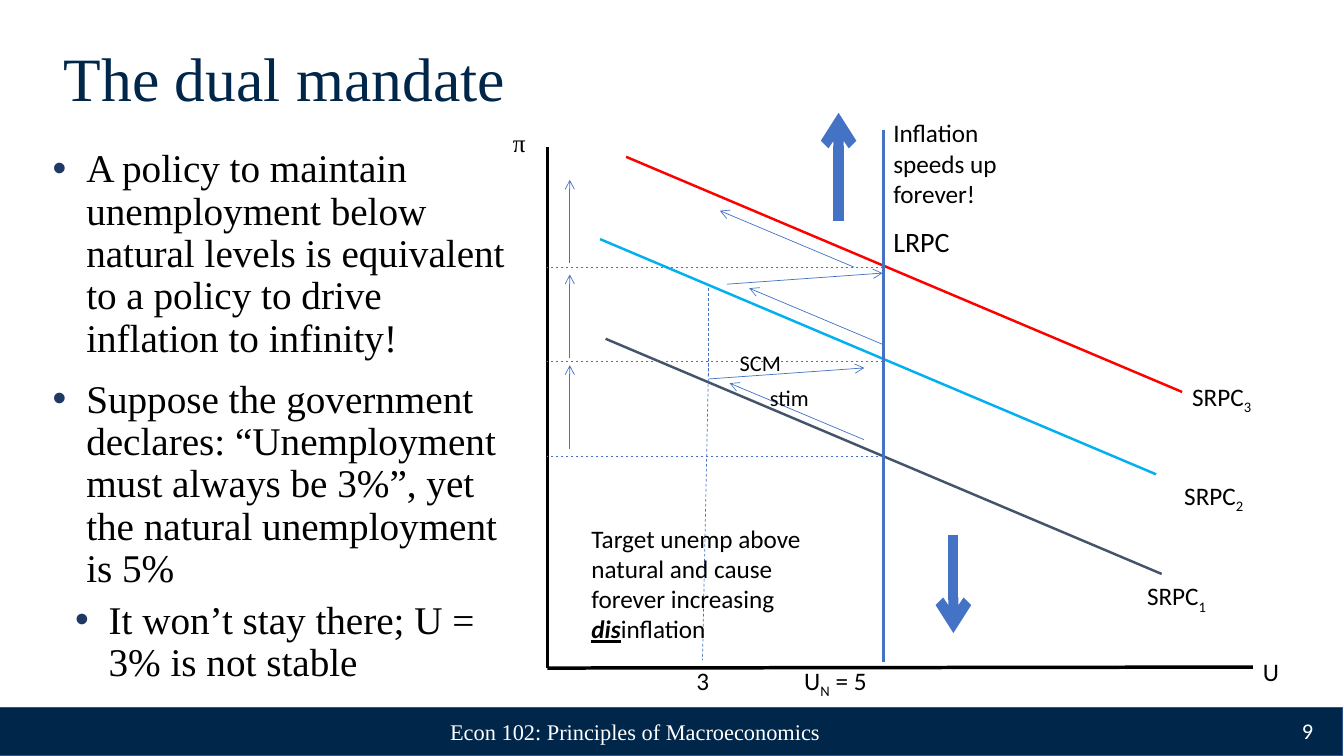
from lxml.etree import SubElement
from pptx import Presentation
from pptx.dml.color import RGBColor
from pptx.enum.dml import MSO_LINE
from pptx.enum.shapes import MSO_CONNECTOR, MSO_SHAPE
from pptx.enum.text import MSO_ANCHOR as Anchor, MSO_AUTO_SIZE as AutoSize, PP_ALIGN as Align
from pptx.oxml.ns import qn
from pptx.util import Pt


class Theme:
    navy = RGBColor.from_string("00264A")
    bar_edge = RGBColor.from_string("325491")
    bullet = "203864"
    black = RGBColor.from_string("000000")
    white = RGBColor.from_string("FFFFFF")
    blue = RGBColor.from_string("4472C4")
    slate = RGBColor.from_string("44546A")
    cyan = RGBColor.from_string("00B0F0")
    red = RGBColor.from_string("FF0000")
    serif, sans = "Times New Roman", "Calibri"
    title, body, large, label, small = 44, 28, 20, 18, 16
    axis, curve, thin, block = 2.5, 1.75, 0.5, 7.25


deck = Presentation()
deck.slide_width, deck.slide_height = Pt(960), Pt(540)
page = deck.slides.add_slide(deck.slide_layouts[6])


def write(text, left, top, width, height, size=Theme.label, font=Theme.sans,
          color=Theme.black, align=Align.LEFT, anchor=Anchor.TOP, wrap=False,
          inset=(7.2, 3.6), accent="subscript"):
    """Add a text box; newlines part paragraphs, and |bars| enclose accented text."""
    box = page.shapes.add_textbox(Pt(left), Pt(top), Pt(width), Pt(height))
    frame = box.text_frame
    frame.word_wrap, frame.vertical_anchor = wrap, anchor
    frame.auto_size = AutoSize.NONE if wrap else AutoSize.SHAPE_TO_FIT_TEXT
    frame.margin_left = frame.margin_right = Pt(inset[0])
    frame.margin_top = frame.margin_bottom = Pt(inset[1])
    for row, line in enumerate(text.split("\n")):
        para = frame.add_paragraph() if row else frame.paragraphs[0]
        para.alignment = align
        for part, piece in enumerate(line.split("|")):
            if not piece:
                continue
            span = para.add_run()
            span.text = piece
            span.font.size, span.font.name = Pt(size), font
            span.font.color.rgb = color
            if part % 2 and accent == "subscript":
                span._r.get_or_add_rPr().set("baseline", "-25000")
            elif part % 2:
                span.font.bold = span.font.italic = span.font.underline = True
    return frame


def draw_line(start, end, color=Theme.blue, weight=Theme.thin, arrow=False, dashed=False):
    line = page.shapes.add_connector(MSO_CONNECTOR.STRAIGHT, *map(Pt, (*start, *end)))
    line.line.color.rgb, line.line.width = color, Pt(weight)
    if dashed:
        line.line.dash_style = MSO_LINE.DASH
    if arrow:
        SubElement(line.line._get_or_add_ln(), qn("a:tailEnd"), type="arrow")
    SubElement(line._element.spPr, qn("a:effectLst"))


# Footer bar, title and bullets
bar = page.shapes.add_shape(MSO_SHAPE.RECTANGLE, Pt(-1.2), Pt(505.4), Pt(960), Pt(34.6))
bar.shadow.inherit = False
bar.fill.solid()
bar.fill.fore_color.rgb = Theme.navy
bar.line.color.rgb, bar.line.width = Theme.bar_edge, Pt(1)

roomy = dict(wrap=True, inset=(9.6, 4.8))
title = write("The dual mandate", 36, 28.8, 888, 58.4, size=Theme.title, font=Theme.serif,
              color=Theme.navy, anchor=Anchor.MIDDLE, **roomy)
title.paragraphs[0].line_spacing = 0.9

bullets = write(
    "A policy to maintain unemployment below natural levels is equivalent "
    "to a policy to drive inflation to infinity!\n"
    "Suppose the government declares: “Unemployment must always be 3%”, "
    "yet the natural unemployment is 5%\n"
    "It won’t stay there; U = 3% is not stable",
    28, 101.5, 344.2, 419.8, size=Theme.body, font=Theme.serif, **roomy)
for para, level, margin, before in zip(bullets.paragraphs, (0, 0, 1), (24, 24, 40), (13.3, 13.3, 6.7)):
    para.level, para.line_spacing, para.space_before = level, 0.9, Pt(before)
    props = para._p.get_or_add_pPr()
    props.set("marL", str(Pt(margin)))
    props.set("indent", str(Pt(-24)))
    SubElement(SubElement(props, qn("a:buClr")), qn("a:srgbClr"), val=Theme.bullet)
    SubElement(props, qn("a:buFont"), typeface="Arial")
    SubElement(props, qn("a:buChar"), char="•")

# Axes
origin = (391, 477.2)
draw_line((391, 105), origin, Theme.black, Theme.axis)
draw_line(origin, (895, 476.5), Theme.black, Theme.axis)
write("U", 895, 465, 64, 29, wrap=True)
write("π", 359.3, 87.1, 97, 29, font=Theme.serif, wrap=True)

# Short-run Phillips curves share one slope
short_run = [
    ("1", (432.6, 242), (812.2, 411.2), Theme.slate),
    ("2", (428.6, 170.8), (838.8, 339.2), Theme.cyan),
    ("3", (447.2, 112), (844.5, 268.5), Theme.red),
]
for number, (x, y), (label_x, label_y), color in short_run:
    draw_line((x, y), (x + 397.2, y + 168), color, Theme.curve)
    write(f"SRPC|{number}|", label_x, label_y, 58.3, 29)

# Long-run curve and unemployment levels
natural = 631
draw_line((natural, 473), (natural, 93), weight=Theme.curve)
write("LRPC", natural, 157, 55.4, 31.5, size=Theme.large)
write("U|N| = 5", 567.4, 471.6, 60.5, 29)
write("3", 490.3, 471.6, 23.8, 29)
draw_line((506.2, 256.3), (501.8, 471.6), dashed=True)
draw_line((506.2, 206), (506.2, 268.6), dashed=True)

# Each round: inflation level, stimulus along the curve, rise on the axis
rounds = [(326.2, (617, 314), 320.4), (257.8, (natural, 246.2), 255.6), (190.8, (610, 190.8), 188)]
for level, (x, y), foot in rounds:
    draw_line((natural, level), (origin[0], level), dashed=True)
    draw_line((x, y), (x - 95.8, y - 40.3), arrow=True)
    draw_line((407, foot), (407, foot - 59.5), arrow=True)
for x, y in [(506.2, 270.7), (519.2, 203)]:
    draw_line((x, y), (x + 111.2, y - 7.9), arrow=True)
write("stim", 542.9, 270.7, 42.5, 26.6, size=Theme.small)
write("SCM", 521.3, 246.2, 44.6, 26.6, size=Theme.small)

# Outcomes on either side
for x, tail, head in [(599, 157.7, 80.6), (681, 382.3, 452.2)]:
    draw_line((x, tail), (x, head), weight=Theme.block, arrow=True)
write("Inflation\nspeeds up\nforever!", natural, 80.6, 89.3, 72.7)
write("Target unemp above\nnatural and cause\nforever increasing\n|dis|inflation",
      415.4, 370, 165.6, 94.3, accent="emphasis")

# Footer text
footer = dict(size=Theme.small, color=Theme.white, anchor=Anchor.MIDDLE, **roomy)
write("9", 880.6, 507.6, 67, 28.8, align=Align.RIGHT, **footer)
write("Econ 102: Principles of Macroeconomics", 291.6, 508.4, 324, 28.8,
      font=Theme.serif, align=Align.CENTER, **footer)

deck.save("out.pptx")
